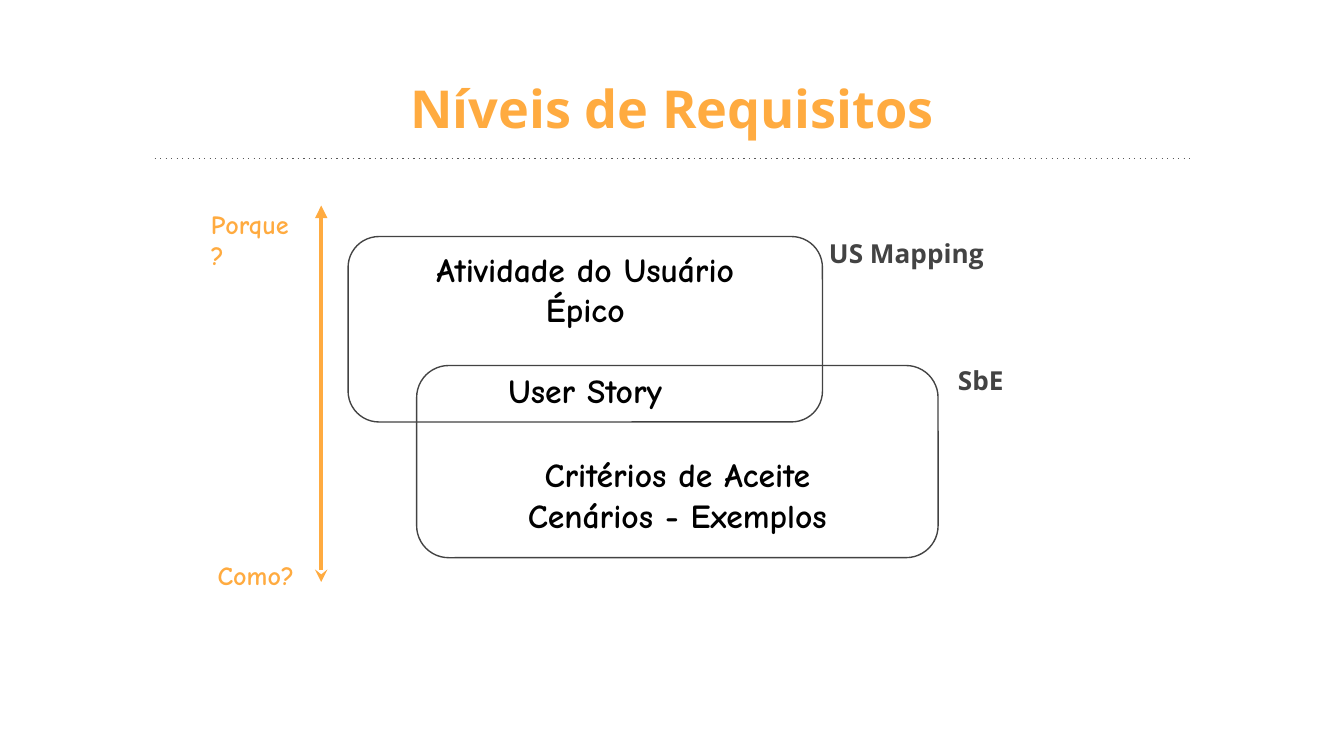
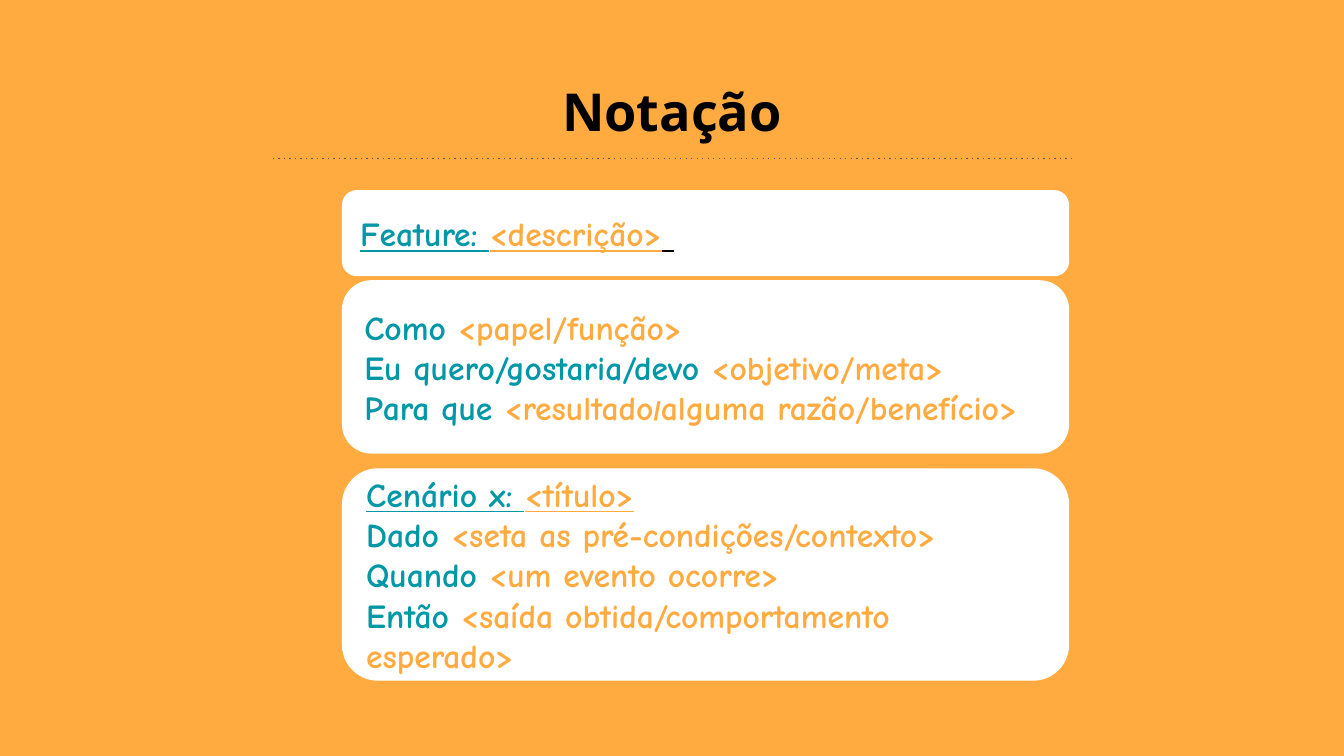
from dataclasses import dataclass, replace

from lxml import etree
from pptx import Presentation
from pptx import util as u
from pptx.dml.color import RGBColor
from pptx.enum import shapes, text
from pptx.oxml.ns import qn


@dataclass(frozen=True)
class Type:
    size: int
    font: str
    hue: str
    under: bool = False


class Theme:
    # Colours
    amber, teal = "FFAB40", "0097A7"
    white, black = "FFFFFF", "000000"
    ink, rule = "434343", "595959"
    # Type
    head = Type(28, "Open Sans", amber)
    label = Type(14, "Open Sans", ink)
    level = Type(18, "Comic Neue", black)
    end = Type(14, "Comic Neue", amber)
    key = Type(18, "Comic Neue", teal)
    value = replace(key, hue=amber)
    slash = Type(14, "Arial", amber)
    # Grid and lines
    cols, rows = 100, 56.25
    inset, thin, thick = u.Inches(0.1), 0.75, 2.25


class Deck:
    def __init__(self, theme):
        self.theme = theme
        self.prs = Presentation()
        self.prs.slide_width, self.prs.slide_height = u.Inches(10), u.Inches(5.625)
        self.slide = None

    def grid(self, *marks):
        """Turn alternating columns and rows into lengths."""
        cell = (self.prs.slide_width / self.theme.cols,
                self.prs.slide_height / self.theme.rows)
        return [u.Emu(round(m * cell[i % 2])) for i, m in enumerate(marks)]

    def page(self, title, at, back, hue, rule):
        """Start a slide with its title and dotted rule."""
        self.slide = self.prs.slides.add_slide(self.prs.slide_layouts[5])
        fill = self.slide.background.fill
        fill.solid()
        fill.fore_color.rgb = RGBColor.from_string(back)
        head = self.slide.shapes.title
        head.left, head.top, head.width, head.height = self.grid(*at)
        self.label(head, [[(title, replace(self.theme.head, hue=hue))]],
                   align=text.PP_ALIGN.CENTER)
        self.line((rule, 11.8, self.theme.cols - rule, 11.8), self.theme.rule,
                  self.theme.thin, prstDash="dot")

    def label(self, shape, lines, align=text.PP_ALIGN.LEFT,
              anchor=text.MSO_ANCHOR.TOP):
        """Fill a shape with lines, each a list of (words, type) pairs."""
        frame = shape.text_frame
        frame.word_wrap = True
        frame.auto_size = text.MSO_AUTO_SIZE.NONE
        frame.vertical_anchor = anchor
        frame.margin_left = frame.margin_right = self.theme.inset
        frame.margin_top = frame.margin_bottom = self.theme.inset
        for i, line in enumerate(lines):
            para = frame.add_paragraph() if i else frame.paragraphs[0]
            para.alignment = align
            para.space_before = u.Pt(0)
            for words, kind in line:
                run = para.add_run()
                run.text = words
                font = run.font
                font.name, font.size, font.bold = kind.font, u.Pt(kind.size), True
                font.underline = kind.under
                font.color.rgb = RGBColor.from_string(kind.hue)
        return frame

    def box(self, at, lines, edge, fill=None, **layout):
        """Add a rounded box with text."""
        shape = self.slide.shapes.add_shape(
            shapes.MSO_SHAPE.ROUNDED_RECTANGLE, *self.grid(*at))
        shape.shadow.inherit = False
        if fill:
            shape.fill.solid()
            shape.fill.fore_color.rgb = RGBColor.from_string(fill)
        else:
            shape.fill.background()
        shape.line.color.rgb = RGBColor.from_string(edge)
        shape.line.width = u.Pt(self.theme.thin)
        return self.label(shape, lines, **layout)

    def note(self, at, words, kind):
        """Add a free label."""
        self.label(self.slide.shapes.add_textbox(*self.grid(*at)), [[(words, kind)]])

    def line(self, ends, hue, width, **parts):
        """Add a line; parts are a dash and arrowheads, in schema order."""
        line = self.slide.shapes.add_connector(
            shapes.MSO_CONNECTOR.STRAIGHT, *self.grid(*ends))
        line.line.color.rgb = RGBColor.from_string(hue)
        line.line.width = u.Pt(width)
        props = line._element.spPr
        for tag, value in parts.items():
            attr = "val" if tag == "prstDash" else "type"
            etree.SubElement(props.find(qn("a:ln")), qn("a:" + tag)).set(attr, value)
        etree.SubElement(props, qn("a:effectLst"))


def levels(deck):
    t = deck.theme
    mid = text.PP_ALIGN.CENTER
    deck.page("Níveis de Requisitos", (11, 4.7, 78, 6.3), t.white, t.amber, 11.5)

    # Axis from why to how
    deck.line((23.9, 15.3, 23.9, 43.3), t.amber, t.thick,
              headEnd="triangle", tailEnd="stealth")

    # Overlapping levels
    upper = deck.box(
        (25.9, 17.6, 35.3, 13.8),
        [[(words, t.level)] for words in ("Atividade do Usuário", "Épico", "User Story")],
        t.ink, align=mid, anchor=text.MSO_ANCHOR.MIDDLE)
    upper.paragraphs[-1].space_before = u.Pt(21.5)
    deck.box(
        (31, 27.2, 38.8, 14.3),
        [[(words, t.level)] for words in ("Critérios de Aceite", "Cenários - Exemplos")],
        t.ink, align=mid, anchor=text.MSO_ANCHOR.BOTTOM)

    # Labels
    for x, y, wide, words, kind in (
            (60.7, 16.7, 15, "US Mapping", t.label),
            (70.3, 26.1, 15, "SbE", t.label),
            (14.7, 14.5, 8.2, "Porque?", t.end),
            (15.2, 40.6, 8.2, "Como?", t.end)):
        deck.note((x, y, wide, 2.7), words, kind)


def syntax(deck):
    t = deck.theme
    deck.page("Notação", (3.4, 4.9, 93.2, 6.3), t.amber, t.black, 20.3)
    key, value = replace(t.key, under=True), replace(t.value, under=True)

    # Cards: top, height, lines
    cards = (
        (34.9, 15.7, [
            [("Cenário x: ", key), ("<título>", value)],
            [("Dado ", t.key), ("<seta as pré-condições/contexto>", t.value)],
            [("Quando ", t.key), ("<um evento ocorre>", t.value)],
            [("Então ", t.key), ("<saída obtida/comportamento esperado>", t.value)]]),
        (20.9, 12.8, [
            [("Como ", t.key), ("<papel/função>", t.value)],
            [("Eu quero/gostaria/devo ", t.key), ("<objetivo/meta>", t.value)],
            [("Para que ", t.key), ("<resultado", t.value), ("/", t.slash),
             ("alguma razão/benefício>", t.value)]]),
        (14.2, 6.3, [
            [("Feature: ", key), ("<descrição>", value),
             (" ", replace(key, hue=t.black))]]),
    )
    for top, high, lines in cards:
        deck.box((25.5, top, 54, high), lines, t.white, t.white,
                 anchor=text.MSO_ANCHOR.MIDDLE)


def main():
    deck = Deck(Theme)
    levels(deck)
    syntax(deck)
    deck.prs.save("out.pptx")


if __name__ == "__main__":
    main()
